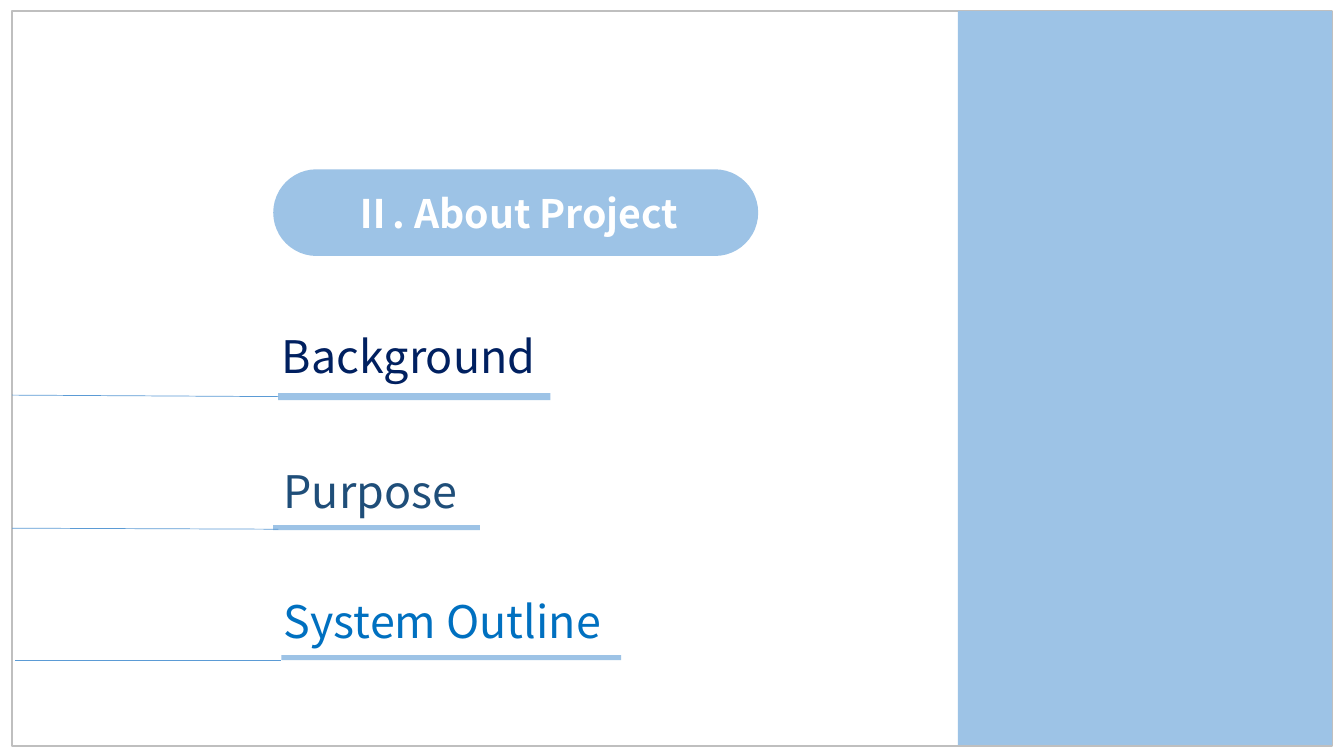
from dataclasses import dataclass

from pptx import Presentation
from pptx.dml.color import RGBColor
from pptx.enum.shapes import MSO_CONNECTOR as Connector, MSO_SHAPE as Shape
from pptx.enum.text import MSO_ANCHOR as Anchor, MSO_AUTO_SIZE as AutoSize, PP_ALIGN as Align
from pptx.oxml.ns import qn
from pptx.util import Inches, Pt


@dataclass(frozen=True)
class Theme:
    font: str = "Noto Sans CJK KR"
    accent: str = "9DC3E6"
    frame: str = "BFBFBF"
    lead: str = "5B9BD5"
    white: str = "FFFFFF"
    navy: str = "002060"
    steel: str = "1F4E79"
    blue: str = "0070C0"
    title_size: int = 28
    topic_size: int = 32


@dataclass(frozen=True)
class Box:
    left: float
    top: float
    width: float
    height: float

    def inner(self, left, top, width, height):
        return Box(self.left + left, self.top + top, width, height)

    def lengths(self):
        return [Inches(v) for v in (self.left, self.top, self.width, self.height)]


THEME = Theme()


def write(frame, text, *, size, color, bold=False, anchor=Anchor.TOP):
    frame.word_wrap = True
    frame.vertical_anchor = anchor
    paragraph = frame.paragraphs[0]
    paragraph.alignment = Align.CENTER
    run = paragraph.add_run()
    run.text = text
    run.font.name = THEME.font
    run.font.size = Pt(size)
    run.font.bold = bold
    run.font.color.rgb = RGBColor.from_string(color)
    fonts = run.font._element
    east_asian = fonts.makeelement(qn("a:ea"), {"typeface": THEME.font})
    fonts.find(qn("a:latin")).addnext(east_asian)


def add_panel(slide, box, kind=Shape.RECTANGLE, fill=None, line=None):
    panel = slide.shapes.add_shape(kind, *box.lengths())
    panel.shadow.inherit = False
    if fill:
        panel.fill.solid()
        panel.fill.fore_color.rgb = RGBColor.from_string(fill)
    else:
        panel.fill.background()
    if line:
        panel.line.color.rgb = RGBColor.from_string(line)
        panel.line.width = Pt(1)
    else:
        panel.line.fill.background()
    return panel


def add_lead(slide, start, end):
    lead = slide.shapes.add_connector(
        Connector.STRAIGHT, *[Inches(v) for v in (*start, *end)]
    )
    lead.line.color.rgb = RGBColor.from_string(THEME.lead)
    lead.line.width = Pt(0.5)
    properties = lead._element.spPr
    properties.append(properties.makeelement(qn("a:effectLst"), {}))
    return lead


def add_title(slide, box, text):
    pill = add_panel(slide, box, Shape.ROUNDED_RECTANGLE, fill=THEME.accent)
    pill.adjustments[0] = 0.5
    write(pill.text_frame, text, size=THEME.title_size, color=THEME.white,
          bold=True, anchor=Anchor.MIDDLE)


def add_topic(slide, box, text, color, label, bar, lead, joined=False):
    label_box = slide.shapes.add_textbox(*box.inner(label[0], 0, label[1], 0.64).lengths())
    label_box.text_frame.auto_size = AutoSize.SHAPE_TO_FIT_TEXT
    write(label_box.text_frame, text, size=THEME.topic_size, color=color)
    underline = add_panel(slide, box.inner(*bar), fill=THEME.accent)
    start_x, start_y, end_x, end_y = lead
    lead_line = add_lead(slide, (box.left + start_x, box.top + start_y),
                         (box.left + end_x, box.top + end_y))
    if joined:
        lead_line.end_connect(underline, 1)


def add_section_slide(deck, page):
    slide = deck.slides.add_slide(deck.slide_layouts[6])
    add_panel(slide, page, line=THEME.frame)
    add_title(slide, page.inner(2.59, 1.57, 4.81, 0.86), "Ⅱ. About Project")
    topics = [
        (3.1, dict(text="Background", color=THEME.navy, label=(2.38, 3.11),
                   bar=(2.64, 0.69, 2.7, 0.07), lead=(0, 0.71, 2.64, 0.72), joined=True)),
        (4.44, dict(text="Purpose", color=THEME.steel, label=(0.46, 6.19),
                    bar=(2.59, 0.66, 2.05, 0.05), lead=(0, 0.69, 2.64, 0.7))),
        (5.73, dict(text="System Outline", color=THEME.blue, label=(2.5, 3.54),
                    bar=(2.67, 0.66, 3.37, 0.05), lead=(0.03, 0.71, 2.67, 0.71))),
    ]
    for top, topic in topics:
        add_topic(slide, page.inner(0, top, 6.65, 0.76), **topic)
    add_panel(slide, page.inner(9.38, 0, 3.71, 7.28), fill=THEME.accent)


def main():
    deck = Presentation()
    deck.slide_width = Inches(13.33)
    deck.slide_height = Inches(7.5)
    add_section_slide(deck, Box(0.12, 0.11, 13.09, 7.29))
    deck.save("out.pptx")


if __name__ == "__main__":
    main()
